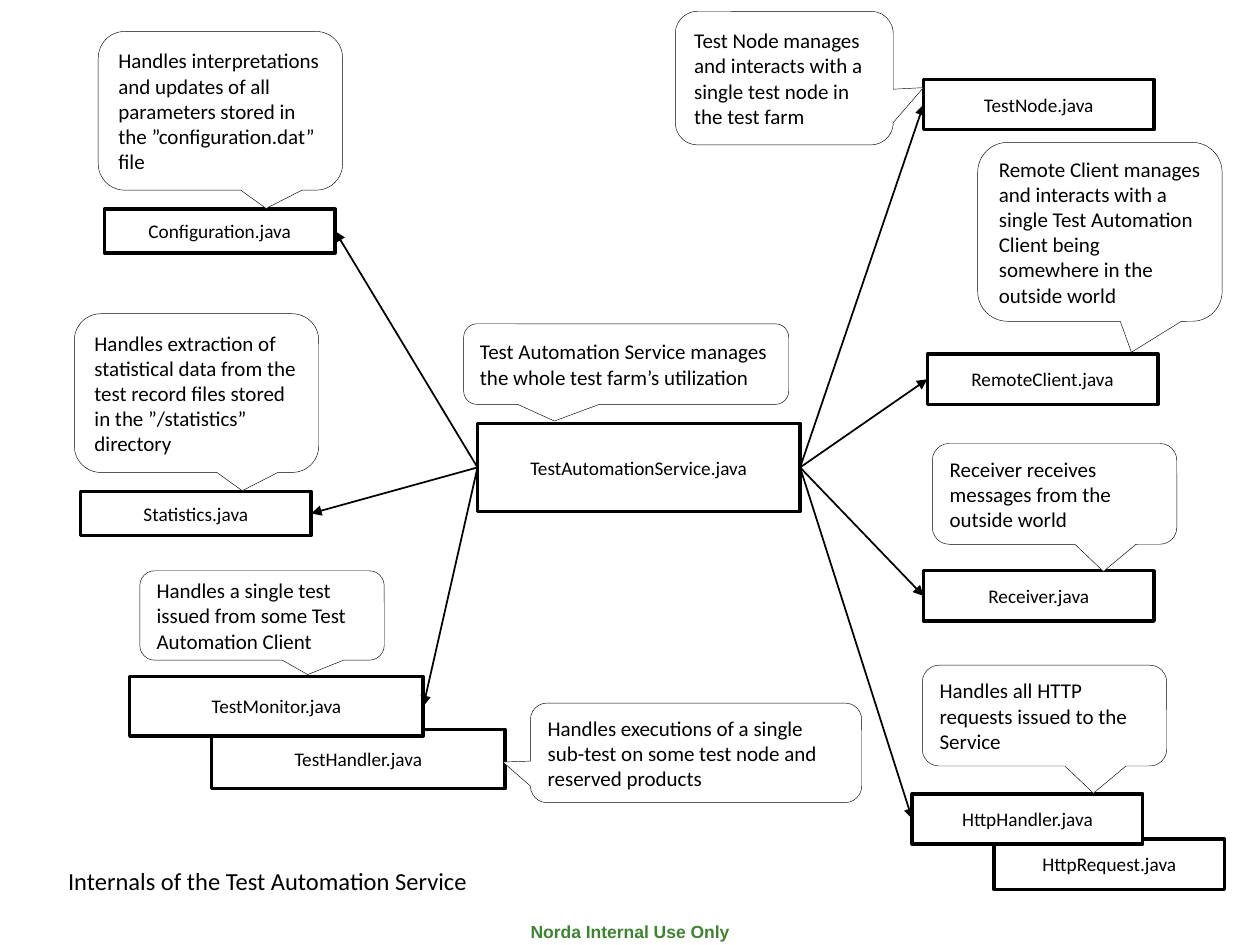
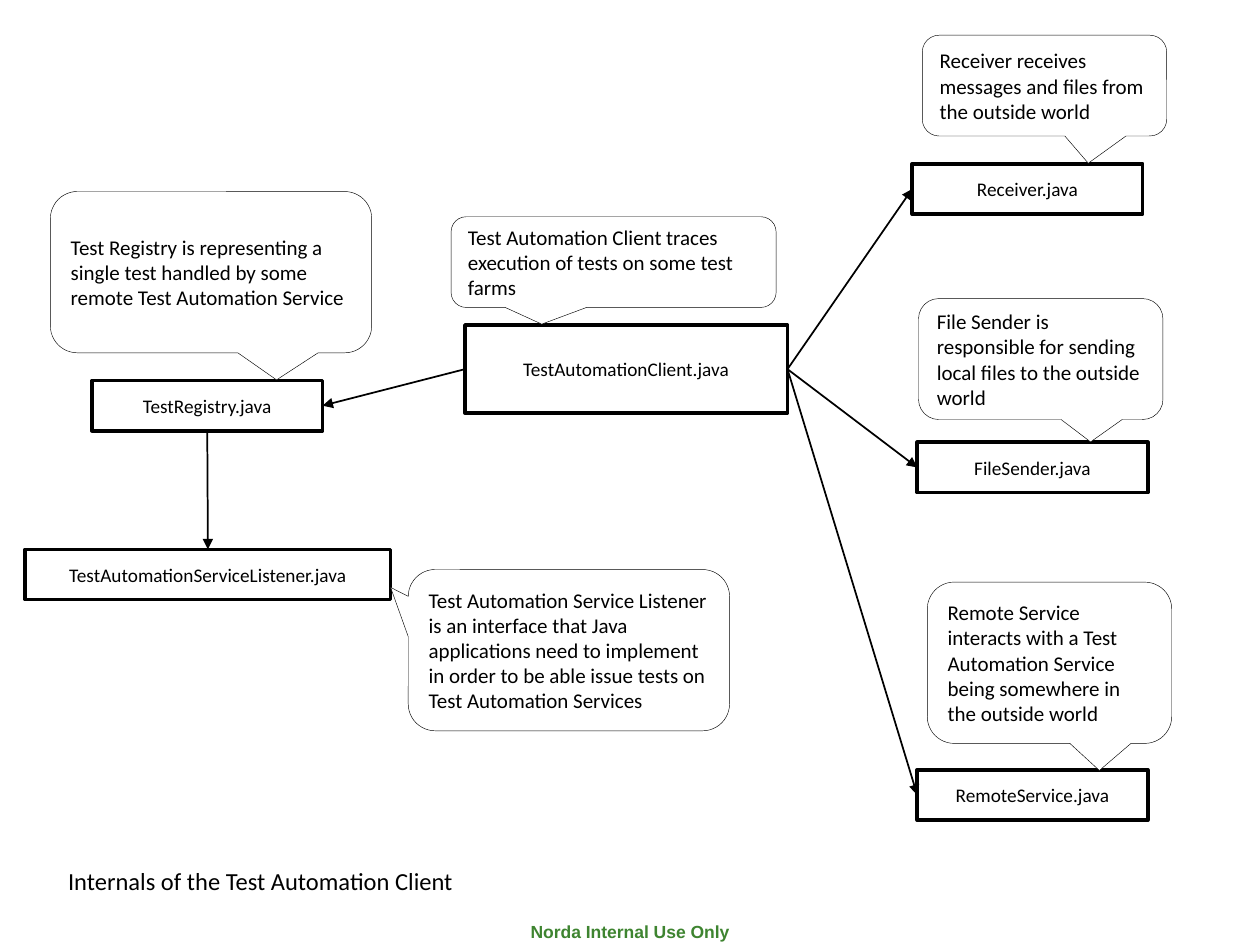
import pptx
import pptx.dml.color
import pptx.enum.shapes
import pptx.enum.text
import pptx.oxml
import pptx.oxml.ns
import pptx.util
from lxml import etree

RGBColor = pptx.dml.color.RGBColor
PRESET = pptx.enum.shapes.MSO_SHAPE
ALIGN = pptx.enum.text.PP_ALIGN
ANCHOR = pptx.enum.text.MSO_ANCHOR
Pt = pptx.util.Pt

BLACK = RGBColor(0x00, 0x00, 0x00)
WHITE = RGBColor(0xFF, 0xFF, 0xFF)
GREEN = RGBColor(0x3E, 0x84, 0x30)

# Grid: square cells, 100 columns by 75 rows
COLUMNS, ROWS = 100, 75
WIDTH, HEIGHT = pptx.util.Inches(10), pptx.util.Inches(7.5)

# Connection sites of a rectangle
TOP, LEFT, BOTTOM, RIGHT = range(4)

# Sizes that recur, in columns and rows
CLASS_SIZE = (18.3, 4)
SLIM_SIZE = (18.3, 3.5)
STACK_SIZE = (23.3, 4.7)
HUB_SIZE = (25.6, 7)
NOTE_WIDTH = 19.4
WIDE_NOTE = (25.5, 12.8)

# Font formats by role
CLASS_FONT = {"name": "Calibri", "size": Pt(11), "bold": False}
NOTE_FONT = {"name": "Calibri", "size": Pt(12), "bold": False}
TITLE_FONT = {"name": "Calibri", "size": Pt(14), "bold": False}
FOOTER_FONT = {"name": "Arial", "size": Pt(10), "bold": True}


class Diagram:
    """Holds the style and the current slide."""

    def __init__(self):
        self.deck = pptx.Presentation()
        self.deck.slide_width, self.deck.slide_height = WIDTH, HEIGHT
        self.slide = None

    def place(self, left, top, width, height):
        col, row = WIDTH / COLUMNS, HEIGHT / ROWS
        return [round(n) for n in (left * col, top * row, width * col, height * row)]

    def label(self, shape, text, font, color=BLACK, align=ALIGN.LEFT,
              anchor=ANCHOR.MIDDLE):
        frame = shape.text_frame
        frame.text = text
        layout = {"word_wrap": True, "vertical_anchor": anchor,
                  "auto_size": pptx.enum.text.MSO_AUTO_SIZE.NONE}
        for key, value in layout.items():
            setattr(frame, key, value)
        paragraph = frame.paragraphs[0]
        paragraph.alignment = align
        run_font = paragraph.runs[0].font
        for key, value in font.items():
            setattr(run_font, key, value)
        run_font.color.rgb = color

    def outlined(self, preset, area, weight):
        shape = self.slide.shapes.add_shape(preset, *self.place(*area))
        shape.shadow.inherit = False
        shape.fill.solid()
        shape.fill.fore_color.rgb = WHITE
        shape.line.color.rgb = BLACK
        shape.line.width = Pt(weight)
        return shape

    def start(self, title):
        """New slide with its title and the shared footer."""
        self.slide = self.deck.slides.add_slide(self.deck.slide_layouts[5])
        heading = self.slide.shapes.title
        area = self.place(4.4, 68.2, 35.1, 3.4)
        for key, value in zip(("left", "top", "width", "height"), area):
            setattr(heading, key, value)
        self.label(heading, title, TITLE_FONT)
        footer = self.slide.shapes.add_textbox(*self.place(0, 72.6, COLUMNS, 2.7))
        self.label(footer, "Norda Internal Use Only", FOOTER_FONT, GREEN,
                   ALIGN.CENTER, ANCHOR.TOP)

    def java_class(self, name, left, top, size=CLASS_SIZE):
        box = self.outlined(PRESET.RECTANGLE, (left, top, *size), 2)
        self.label(box, name + ".java", CLASS_FONT, align=ALIGN.CENTER)
        return box

    def note(self, text, left, top, size, tip):
        """Callout; tip is the pointer's offset from the centre, as shares of size."""
        bubble = self.outlined(PRESET.ROUNDED_RECTANGULAR_CALLOUT,
                               (left, top, *size), 0.25)
        for index, share in enumerate((*tip, 0.167)):
            bubble.adjustments[index] = share
        self.label(bubble, text, NOTE_FONT)

    def arrow(self, target, target_side, source, source_side):
        """Line between two classes, with its head at the target."""
        link = self.slide.shapes.add_connector(
            pptx.enum.shapes.MSO_CONNECTOR.STRAIGHT, 0, 0, 0, 0)
        link.begin_connect(target, target_side)
        link.end_connect(source, source_side)
        link.line.color.rgb = BLACK
        link.line.width = Pt(1)
        qn = pptx.oxml.ns.qn
        properties = link.element.spPr
        etree.SubElement(properties.find(qn("a:ln")), qn("a:headEnd"), type="triangle")
        etree.SubElement(properties, qn("a:effectLst"))


def service_slide(diagram):
    diagram.start("Internals of the Test Automation Service")

    # Classes
    configuration = diagram.java_class("Configuration", 8.3, 16.6, SLIM_SIZE)
    statistics = diagram.java_class("Statistics", 6.4, 39, SLIM_SIZE)
    diagram.java_class("TestHandler", 16.8, 57.9, STACK_SIZE)
    monitor = diagram.java_class("TestMonitor", 10.3, 53.7, STACK_SIZE)
    service = diagram.java_class("TestAutomationService", 37.9, 33.6, HUB_SIZE)
    node = diagram.java_class("TestNode", 73.3, 6.3)
    remote_client = diagram.java_class("RemoteClient", 73.6, 28.1)
    receiver = diagram.java_class("Receiver", 73.3, 45.3)
    diagram.java_class("HttpRequest", 78.9, 66.6)
    http_handler = diagram.java_class("HttpHandler", 72.4, 63)

    # Notes
    for text, left, top, size, tip in (
        ("Handles interpretations and updates of all parameters stored in the "
         "”configuration.dat” file", 7.8, 2.5, (NOTE_WIDTH, 12.6), (0.187, 0.615)),
        ("Handles extraction of statistical data from the test record files stored "
         "in the ”/statistics” directory",
         5.9, 24.9, (NOTE_WIDTH, 12.6), (0.187, 0.615)),
        ("Handles a single test issued from some Test Automation Client",
         11.1, 45.3, (NOTE_WIDTH, 7.1), (0.187, 0.661)),
        ("Handles executions of a single sub-test on some test node and reserved "
         "products", 42.1, 55.8, (26.3, 7.9), (-0.583, 0.092)),
        ("Test Automation Service manages the whole test farm’s utilization",
         36.8, 25.7, (25.8, 6.4), (-0.221, 0.706)),
        ("Test Node manages and interacts with a single test node in the test farm",
         53.6, 0.9, (17.3, 10.6), (0.638, 0.072)),
        ("Remote Client manages and interacts with a single Test Automation Client "
         "being somewhere in the outside world",
         77.6, 11.3, (NOTE_WIDTH, 14.2), (0.129, 0.673)),
        ("Receiver receives messages from the outside world",
         74, 35.2, (NOTE_WIDTH, 8), (0.2, 0.77)),
        ("Handles all HTTP requests issued to the Service",
         73.2, 52.8, (NOTE_WIDTH, 8), (0.2, 0.77)),
    ):
        diagram.note(text, left, top, size, tip)

    # Arrows from the service
    for helper in (configuration, statistics, monitor):
        diagram.arrow(helper, RIGHT, service, LEFT)
    for endpoint in (node, remote_client, receiver, http_handler):
        diagram.arrow(endpoint, LEFT, service, RIGHT)


def client_slide(diagram):
    diagram.start("Internals of the Test Automation Client")

    # Classes
    registry = diagram.java_class("TestRegistry", 7.3, 30.2)
    listener = diagram.java_class("TestAutomationServiceListener", 2, 43.6, (29, 4))
    client = diagram.java_class("TestAutomationClient", 36.9, 25.8, HUB_SIZE)
    receiver = diagram.java_class("Receiver", 72.4, 13)
    file_sender = diagram.java_class("FileSender", 72.8, 35.1)
    remote_service = diagram.java_class("RemoteService", 72.8, 61.1)

    # Notes
    for text, left, top, size, tip in (
        ("Test Registry is representing a single test handled by some remote Test "
         "Automation Service", 4, 15.2, WIDE_NOTE, (0.204, 0.668)),
        ("Test Automation Service Listener is an interface that Java applications "
         "need to implement in order to be able issue tests on Test Automation "
         "Services", 32.4, 45.2, WIDE_NOTE, (-0.555, -0.389)),
        ("Test Automation Client traces execution of tests on some test farms",
         35.8, 17.2, (25.8, 7.2), (-0.221, 0.684)),
        ("Receiver receives messages and files from the outside world",
         73.2, 2.8, (NOTE_WIDTH, 8), (0.179, 0.77)),
        ("File Sender is responsible for sending local files to the outside world",
         72.9, 23.7, (NOTE_WIDTH, 9.6), (0.204, 0.685)),
        ("Remote Service interacts with a Test Automation Service being somewhere "
         "in the outside world", 73.6, 46.2, (NOTE_WIDTH, 12.8), (0.204, 0.668)),
    ):
        diagram.note(text, left, top, size, tip)

    # Arrows from the client, then on to the listener
    diagram.arrow(registry, RIGHT, client, LEFT)
    for endpoint in (receiver, file_sender, remote_service):
        diagram.arrow(endpoint, LEFT, client, RIGHT)
    diagram.arrow(listener, TOP, registry, BOTTOM)


def main():
    diagram = Diagram()
    service_slide(diagram)
    client_slide(diagram)
    diagram.deck.save("out.pptx")


if __name__ == "__main__":
    main()
